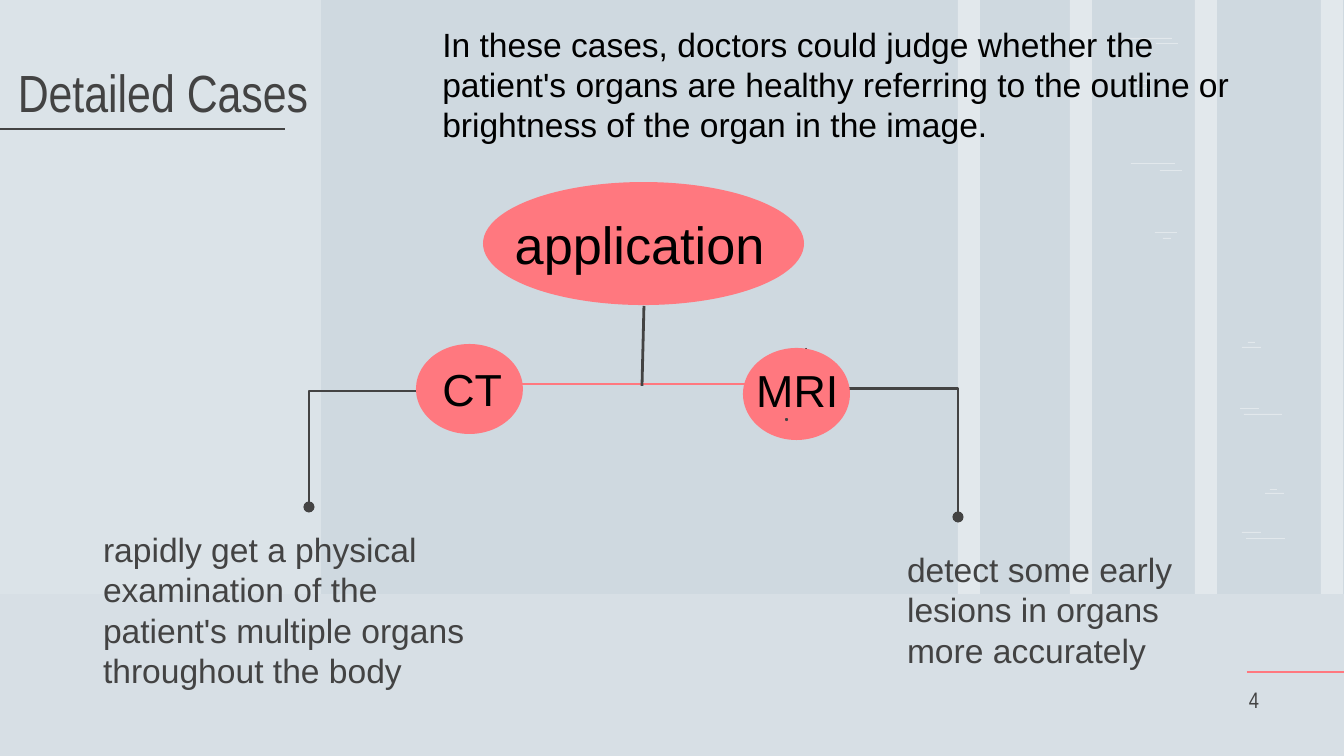
from pptx import Presentation
from pptx.dml.color import RGBColor
from pptx.enum.shapes import MSO_CONNECTOR as Connector, MSO_SHAPE as Shape
from pptx.enum.text import MSO_ANCHOR as Anchor, MSO_AUTO_SIZE as AutoSize, PP_ALIGN as Align
from pptx.oxml.ns import qn
from pptx.util import Pt
from lxml.etree import SubElement

EMU_PER_PX = 914400 / 134.4
WIDTH, HEIGHT = 1344, 756
FLOOR = 594

BACKDROP = RGBColor(0xCF, 0xD9, 0xE0)
WHITE = RGBColor(0xFF, 0xFF, 0xFF)
CORAL = RGBColor(0xFF, 0x78, 0x7F)
GRAY = RGBColor(0x43, 0x43, 0x43)
BLACK = RGBColor(0x00, 0x00, 0x00)

STRIPE_LEFTS = (958, 1070, 1195, 1321)
# left, top, width of the thin marks between the stripes
BARK_MARKS = (
    (1128, 38, 44), (1156, 43, 22), (1131, 163, 44), (1160, 170, 22),
    (1129, 83, 22), (1137, 88, 8), (1155, 232, 22), (1163, 238, 8),
    (1246, 538, 39), (1242, 532, 19), (1244, 414, 38), (1240, 408, 19),
    (1265, 493, 19), (1270, 489, 7), (1242, 347, 19), (1248, 342, 7),
)


def px(*lengths):
    return [round(length * EMU_PER_PX) for length in lengths]


class SlideBuilder:
    """Holds the slide and the shared style; lengths are in px."""

    body_font = "Arial"
    title_font = "Arial Narrow"
    line_width = Pt(1.5)
    wide_inset = 13

    def __init__(self, slide):
        self.slide = slide
        self.shapes = slide.shapes
        fill = slide.background.fill
        fill.solid()
        fill.fore_color.rgb = BACKDROP

    def filled(self, kind, box, color, opacity=100):
        shape = self.shapes.add_shape(kind, *px(*box))
        shape.shadow.inherit = False
        shape.fill.solid()
        shape.fill.fore_color.rgb = color
        shape.line.fill.background()
        if opacity < 100:
            color_element = shape._element.spPr.find(
                qn("a:solidFill") + "/" + qn("a:srgbClr"))
            SubElement(color_element, qn("a:alpha"), val=str(opacity * 1000))

    def line(self, start, end, color, kind=Connector.STRAIGHT):
        connector = self.shapes.add_connector(kind, *px(*start, *end))
        connector.line.color.rgb = color
        connector.line.width = self.line_width
        SubElement(connector._element.spPr, qn("a:effectLst"))
        return connector

    def drop_line(self, start, end, bend):
        """Elbow that goes down, across at the bend fraction, and down to a dot."""
        (x1, y1), (x2, y2) = start, end
        across, down = abs(x2 - x1), y2 - y1
        connector = self.line(start, end, GRAY, Connector.ELBOW)
        # The preset elbow runs sideways, so it is turned about its centre.
        connector.left, connector.top, connector.width, connector.height = px(
            (x1 + x2 - down) / 2, (y1 + y2 - across) / 2, down, across)
        properties = connector._element.spPr
        transform = properties.find(qn("a:xfrm"))
        transform.attrib.pop("flipH", None)
        transform.set("rot", "5400000")
        if x2 > x1:
            transform.set("flipV", "1")
        geometry = properties.find(qn("a:prstGeom"))
        adjustments = geometry.find(qn("a:avLst"))
        if adjustments is None:
            adjustments = SubElement(geometry, qn("a:avLst"))
        SubElement(adjustments, qn("a:gd"), name="adj1", fmla=f"val {round(bend * 100000)}")
        SubElement(properties.find(qn("a:ln")), qn("a:tailEnd"), type="oval")

    def set_text(self, shape, text, size, color, font=body_font, align=Align.LEFT,
                 anchor=Anchor.TOP, inset=None):
        frame = shape.text_frame
        frame.text = text
        frame.word_wrap = True
        frame.auto_size = AutoSize.NONE
        frame.vertical_anchor = anchor
        if inset is not None:
            (frame.margin_left, frame.margin_top,
             frame.margin_right, frame.margin_bottom) = px(*[inset] * 4)
        paragraph = frame.paragraphs[0]
        paragraph.alignment = align
        run_font = paragraph.runs[0].font
        run_font.name, run_font.size, run_font.color.rgb = font, Pt(size), color
        return paragraph

    def text_box(self, box, text, size, color=BLACK, **style):
        self.set_text(self.shapes.add_textbox(*px(*box)), text, size, color, **style)

    def place(self, placeholder, box):
        """Moves a placeholder to its box and in front of what is drawn so far."""
        placeholder.left, placeholder.top, placeholder.width, placeholder.height = px(*box)
        self.shapes._spTree.append(placeholder._element)

    def title(self, box, text):
        placeholder = self.shapes.title
        self.place(placeholder, box)
        self.set_text(placeholder, text, 28, GRAY, font=self.title_font, align=Align.RIGHT,
                      anchor=Anchor.BOTTOM, inset=self.wide_inset)

    def body(self, index, box, text):
        placeholder = self.slide.placeholders[index]
        self.place(placeholder, box)
        paragraph = self.set_text(placeholder, text, 18, GRAY, inset=self.wide_inset)
        paragraph.space_before = Pt(0)
        properties = paragraph._p.get_or_add_pPr()
        properties.set("marL", "0")
        properties.set("indent", "0")
        SubElement(properties, qn("a:buNone"))


def draw_backdrop(builder):
    for left in STRIPE_LEFTS:
        builder.filled(Shape.RECTANGLE, (left, 0, 22, FLOOR), WHITE, 40)
    for left, top, width in BARK_MARKS:
        builder.filled(Shape.RECTANGLE, (left, top, width, 1), WHITE, 40)
    builder.filled(Shape.RECTANGLE, (0, 0, 321, FLOOR), WHITE, 27)
    builder.filled(Shape.RECTANGLE, (0, FLOOR, WIDTH, HEIGHT - FLOOR), WHITE, 17)
    builder.line((1247, 672), (WIDTH, 672), CORAL)
    builder.line((0, 129), (285, 129), GRAY)


def draw_tree(builder):
    builder.line((515, 384), (753, 384), CORAL, Connector.ELBOW)
    builder.drop_line((460, 348), (309, 507), 0.27)
    builder.drop_line((806, 348), (958, 517), 0.24)
    builder.filled(Shape.OVAL, (416, 344, 107, 90), CORAL)
    builder.filled(Shape.OVAL, (743, 348, 107, 92), CORAL)
    builder.filled(Shape.OVAL, (785, 418, 3, 3), GRAY)
    builder.filled(Shape.OVAL, (483, 182, 321, 123), CORAL)
    builder.line((644, 306), (642, 386), GRAY)
    builder.text_box((470, 206, 339, 56), "application", 28, align=Align.CENTER)
    builder.text_box((429, 355, 101, 63), "CT", 24)
    builder.text_box((743, 356, 129, 67), "MRI", 24)


def main():
    presentation = Presentation()
    presentation.slide_width, presentation.slide_height = px(WIDTH, HEIGHT)
    two_content = presentation.slide_layouts[3]
    builder = SlideBuilder(presentation.slides.add_slide(two_content))

    draw_backdrop(builder)
    builder.body(1, (90, 516, 433, 132),
                 "rapidly get a physical examination of the patient's multiple organs "
                 "throughout the body")
    builder.body(2, (894, 536, 347, 132),
                 "detect some early lesions in organs more accurately")
    builder.text_box((1236, 668, 47, 58), "4", 12, GRAY, font=builder.title_font,
                     anchor=Anchor.BOTTOM, inset=builder.wide_inset)
    draw_tree(builder)
    builder.title((-47, 93, 368, 43), "Detailed Cases")
    builder.text_box((429, 17, 820, 136),
                     "In these cases, doctors could judge whether the patient's organs are "
                     "healthy referring to the outline or brightness of the organ in the image.",
                     18)
    presentation.save("out.pptx")


if __name__ == "__main__":
    main()
